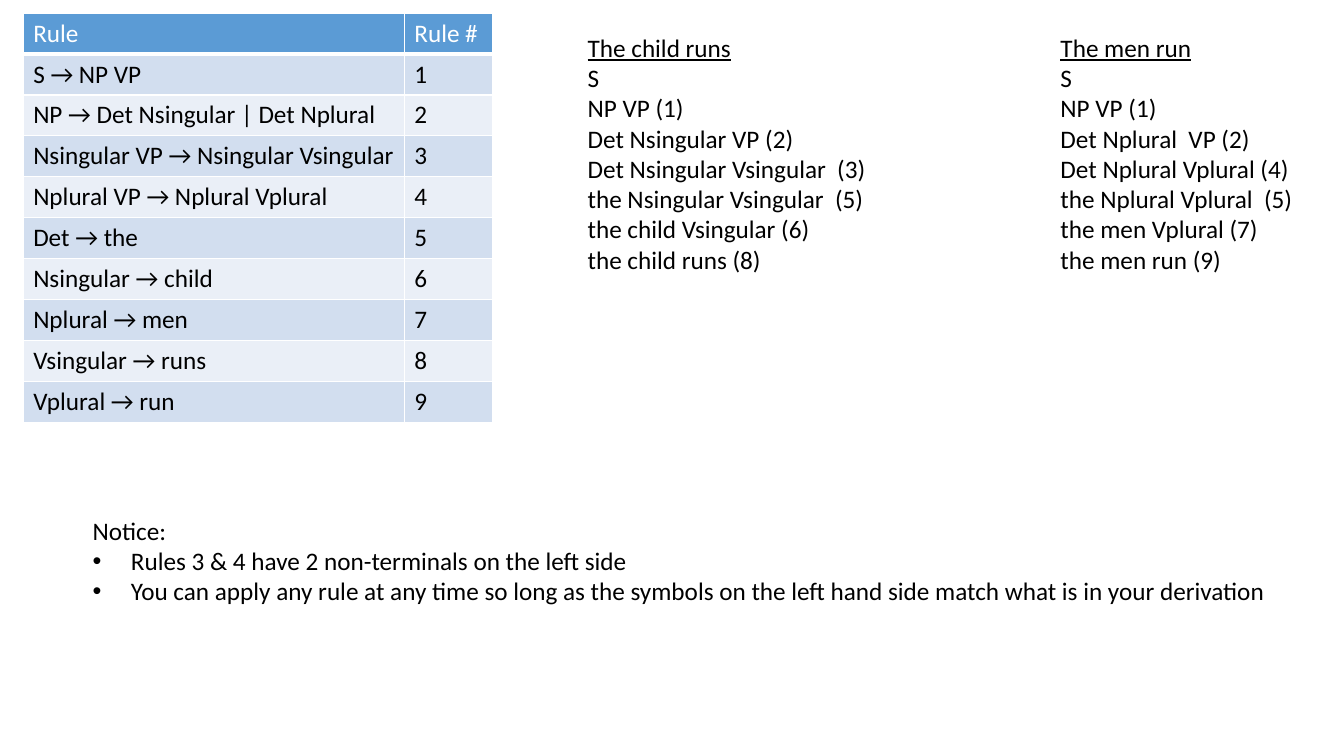
from lxml import etree
from pptx import Presentation
from pptx.dml.color import RGBColor
from pptx.enum.text import MSO_AUTO_SIZE
from pptx.oxml.ns import qn
from pptx.util import Inches, Pt

FIT_SHAPE = MSO_AUTO_SIZE.SHAPE_TO_FIT_TEXT
FONT, TEXT_SIZE = "Calibri", 18
COLORS = {"text": "000000", "white": "FFFFFF", "header": "5B9BD5",
          "odd": "D2DEEF", "even": "EAEFF7"}

HEADER = ("Rule", "Rule #")
RULES = [
    "S → NP VP",
    "NP → Det Nsingular | Det Nplural",
    "Nsingular VP → Nsingular Vsingular",
    "Nplural VP → Nplural Vplural",
    "Det → the",
    "Nsingular → child",
    "Nplural → men",
    "Vsingular → runs",
    "Vplural → run",
]
TABLE_LEFT, TABLE_TOP = 0.23, 0.13
COLUMN_WIDTHS, ROW_HEIGHT = (3.78, 0.88), 0.406

# Each derivation: (left, top, width, height), lines
DERIVATIONS = [
    ((5.73, 0.27, 2.99, 2.52), [
        "The child runs", "S", "NP VP (1)", "Det Nsingular VP (2)",
        "Det Nsingular Vsingular  (3)", "the Nsingular Vsingular  (5)",
        "the child Vsingular (6)", "the child runs (8)"]),
    ((10.42, 0.27, 2.53, 2.52), [
        "The men run", "S", "NP VP (1)", "Det Nplural  VP (2)",
        "Det Nplural Vplural (4)", "the Nplural Vplural  (5)",
        "the men Vplural (7)", "the men run (9)"]),
]
NOTICE_BOX = (0.82, 5.06, 11.98, 1.62)
NOTICE = [
    "Notice:",
    "Rules 3 & 4 have 2 non-terminals on the left side",
    "You can apply any rule at any time so long as the symbols on the "
    "left hand side match what is in your derivation",
]
BULLET_INDENT = 0.38


def style_runs(paragraph, color):
    for run in paragraph.runs:
        run.font.name = FONT
        run.font.size = Pt(TEXT_SIZE)
        run.font.bold = False
        run.font.color.rgb = RGBColor.from_string(COLORS[color])


def add_lines(slide, box, lines):
    """Add a text box with one paragraph per line and return the paragraphs."""
    frame = slide.shapes.add_textbox(*map(Inches, box)).text_frame
    frame.text = "\n".join(lines)
    frame.word_wrap = False
    frame.auto_size = FIT_SHAPE
    for paragraph in frame.paragraphs:
        style_runs(paragraph, "text")
    return frame.paragraphs


def add_bullet(paragraph):
    properties = paragraph._p.get_or_add_pPr()
    properties.set("marL", str(Inches(BULLET_INDENT)))
    properties.set("indent", str(-Inches(BULLET_INDENT)))
    etree.SubElement(properties, qn("a:buFont")).set("typeface", "Arial")
    etree.SubElement(properties, qn("a:buChar")).set("char", "•")


def set_borders(cell, bottom_width):
    properties = cell._tc.get_or_add_tcPr()
    for side, width in (("L", 1), ("R", 1), ("T", 1), ("B", bottom_width)):
        line = etree.SubElement(properties, qn(f"a:ln{side}"))
        line.set("w", str(Pt(width)))
        fill = etree.SubElement(line, qn("a:solidFill"))
        etree.SubElement(fill, qn("a:srgbClr")).set("val", COLORS["white"])


def add_rule_table(slide):
    rows = [HEADER] + [(rule, str(n)) for n, rule in enumerate(RULES, 1)]
    table = slide.shapes.add_table(
        len(rows), len(HEADER), Inches(TABLE_LEFT), Inches(TABLE_TOP),
        Inches(sum(COLUMN_WIDTHS)), Inches(ROW_HEIGHT * len(rows))).table
    for column, width in zip(table.columns, COLUMN_WIDTHS):
        column.width = Inches(width)
    for r, values in enumerate(rows):
        table.rows[r].height = Inches(ROW_HEIGHT)
        band = "header" if r == 0 else "odd" if r % 2 else "even"
        for c, value in enumerate(values):
            cell = table.cell(r, c)
            cell.text_frame.text = value
            style_runs(cell.text_frame.paragraphs[0], "text" if r else "white")
            set_borders(cell, 1 if r else 3)
            cell.fill.solid()
            cell.fill.fore_color.rgb = RGBColor.from_string(COLORS[band])


def main():
    deck = Presentation()
    deck.slide_width, deck.slide_height = Inches(13.33), Inches(7.5)
    slide = deck.slides.add_slide(deck.slide_layouts[6])
    for box, lines in DERIVATIONS:
        title = add_lines(slide, box, lines)[0]
        title.runs[0].font.underline = True
    add_rule_table(slide)
    for point in add_lines(slide, NOTICE_BOX, NOTICE)[1:]:
        add_bullet(point)
    deck.save("out.pptx")


if __name__ == "__main__":
    main()
